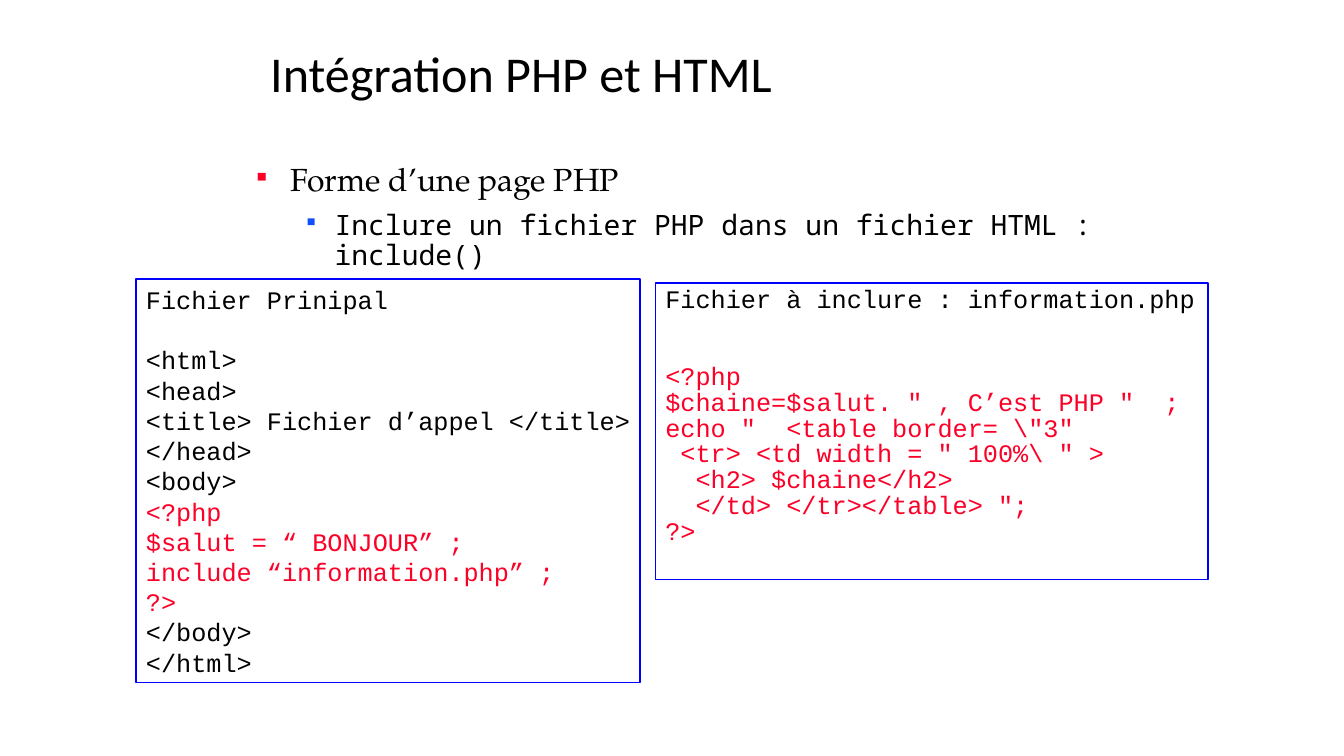
from pptx import Presentation
from pptx.dml.color import RGBColor
from pptx.enum.shapes import MSO_SHAPE
from pptx.enum.text import MSO_ANCHOR, PP_ALIGN
from pptx.oxml.ns import qn
from pptx.util import Inches, Pt
from lxml import etree

RECTANGLE = MSO_SHAPE.RECTANGLE
TOP, MIDDLE = MSO_ANCHOR.TOP, MSO_ANCHOR.MIDDLE
LEFT = PP_ALIGN.LEFT

COLORS = {"text": "000000", "php": "FC0128", "bullet": "114FFB", "border": "0000FF"}


def write(para, text, font, size, color, **formats):
    para.alignment = LEFT
    for name, value in formats.items():
        setattr(para, name, value)
    span = para.add_run()
    span.text = text
    span.font.color.rgb = RGBColor.from_string(COLORS[color])
    for name, value in {"name": font, "size": Pt(size)}.items():
        setattr(span.font, name, value)


def add_bullet(para, margin, hanging, color):
    properties = para._p.get_or_add_pPr()
    properties.set("marL", str(Inches(margin)))
    properties.set("indent", str(-Inches(hanging)))
    bullet_color = etree.SubElement(properties, qn("a:buClr"))
    etree.SubElement(bullet_color, qn("a:srgbClr"), val=COLORS[color])
    etree.SubElement(properties, qn("a:buSzPct"), val="75000")
    etree.SubElement(properties, qn("a:buChar"), char="▪")


deck = Presentation()
deck.slide_width, deck.slide_height = Inches(13.33), Inches(7.5)
page = deck.slides.add_slide(deck.slide_layouts[5])

title = page.shapes.title
title_place = {"left": 2.58, "top": 0.17, "width": 9.23, "height": 1.17}
for name, value in title_place.items():
    setattr(title, name, Inches(value))
title.text_frame.vertical_anchor = MIDDLE
write(title.text_frame.paragraphs[0], "Intégration PHP et HTML", "Calibri", 35.8, "text",
      line_spacing=0.9)

outline = page.shapes.add_textbox(Inches(2.41), Inches(1.58), Inches(9.4), Inches(5.83))
outline.text_frame.word_wrap = True
points = [
    ("Forme d’une page PHP", "TeX Gyre Pagella", 22.8, 0, 0, 0.37, 0.37, "php"),
    ("Inclure un fichier PHP dans un fichier HTML : include()", "Noto Sans Mono", 20, 1, 9,
     0.81, 0.31, "bullet"),
]
for index, (text, font, size, level, gap, margin, hanging, color) in enumerate(points):
    para = outline.text_frame.add_paragraph() if index else outline.text_frame.paragraphs[0]
    write(para, text, font, size, "text", level=level, line_spacing=0.9, space_before=Pt(gap))
    add_bullet(para, margin, hanging, color)

main_file = [
    ("text", "Fichier Prinipal"),
    ("text", "<html>"),
    ("text", "<head>"),
    ("text", "<title> Fichier d’appel </title>"),
    ("text", "</head>"),
    ("text", "<body>"),
    ("php", "<?php"),
    ("php", "$salut = “ BONJOUR” ;"),
    ("php", "include “information.php” ;"),
    ("php", "?>"),
    ("text", "</body>"),
    ("text", "</html>"),
]
included_file = [
    ("text", "Fichier à inclure : information.php"),
    ("php", "<?php"),
    ("php", "$chaine=$salut. \" , C’est PHP \"  ;"),
    ("php", "echo \"  <table border= \\\"3\""),
    ("php", " <tr> <td width = \" 100%\\ \" >"),
    ("php", "  <h2> $chaine</h2>"),
    ("php", "  </td> </tr></table> \";"),
    ("php", "?>"),
]
listings = [
    ((1.35, 2.77, 5, 4), main_file, 1.0, 21.6),
    ((6.5, 2.81, 5.48, 2.94), included_file, 0.85, 36.7),
]
for place, lines, spacing, heading_gap in listings:
    box = page.shapes.add_shape(RECTANGLE, *map(Inches, place))
    box.shadow.inherit = False
    box.fill.background()
    box.line.color.rgb = RGBColor.from_string(COLORS["border"])
    box.line.width = Pt(1)
    frame = box.text_frame
    frame.vertical_anchor = TOP
    frame.word_wrap = True
    for index, (color, text) in enumerate(lines):
        para = frame.add_paragraph() if index else frame.paragraphs[0]
        write(para, text, "Courier New", 18, color, line_spacing=spacing,
              space_after=Pt(0 if index else heading_gap))

deck.save("out.pptx")
